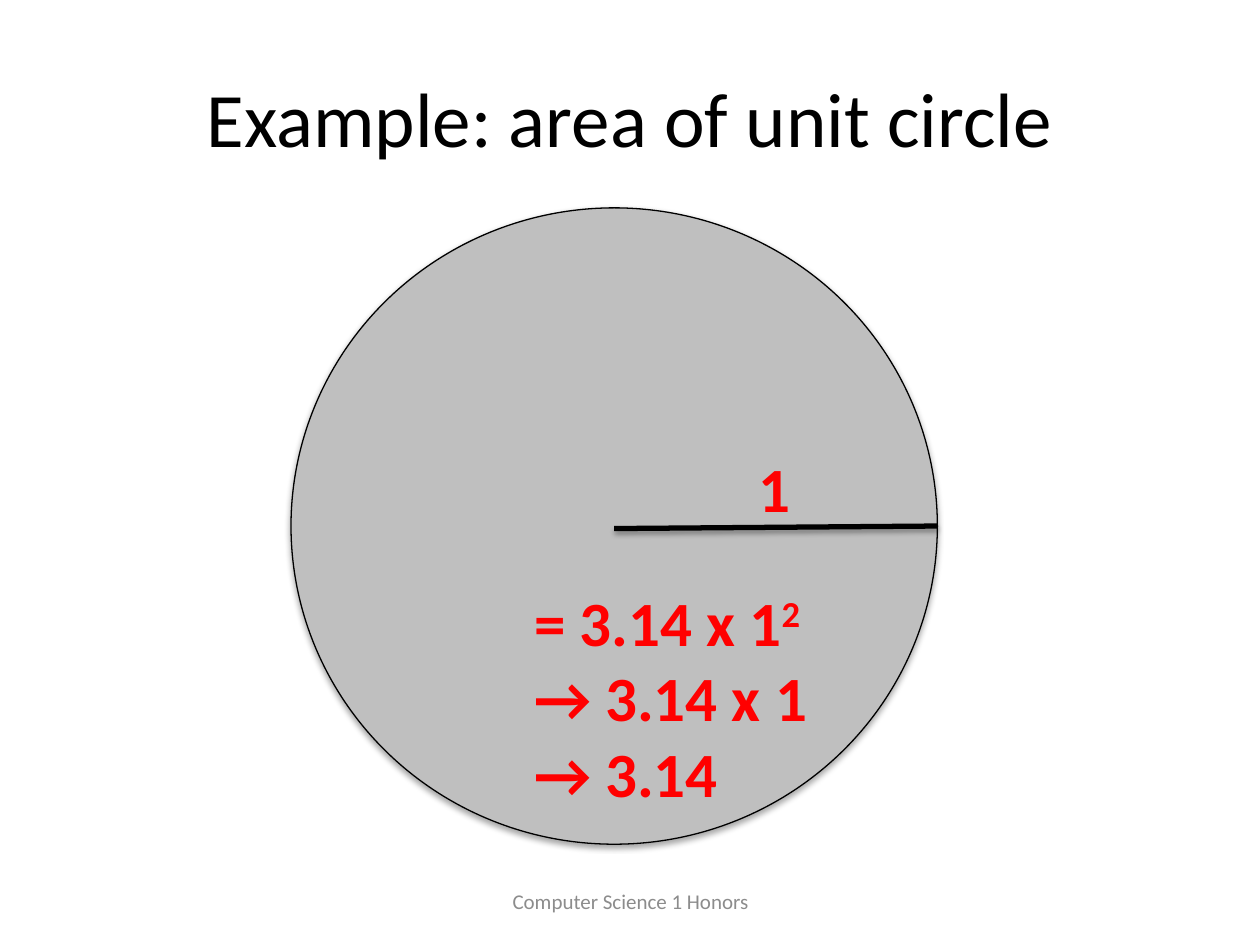
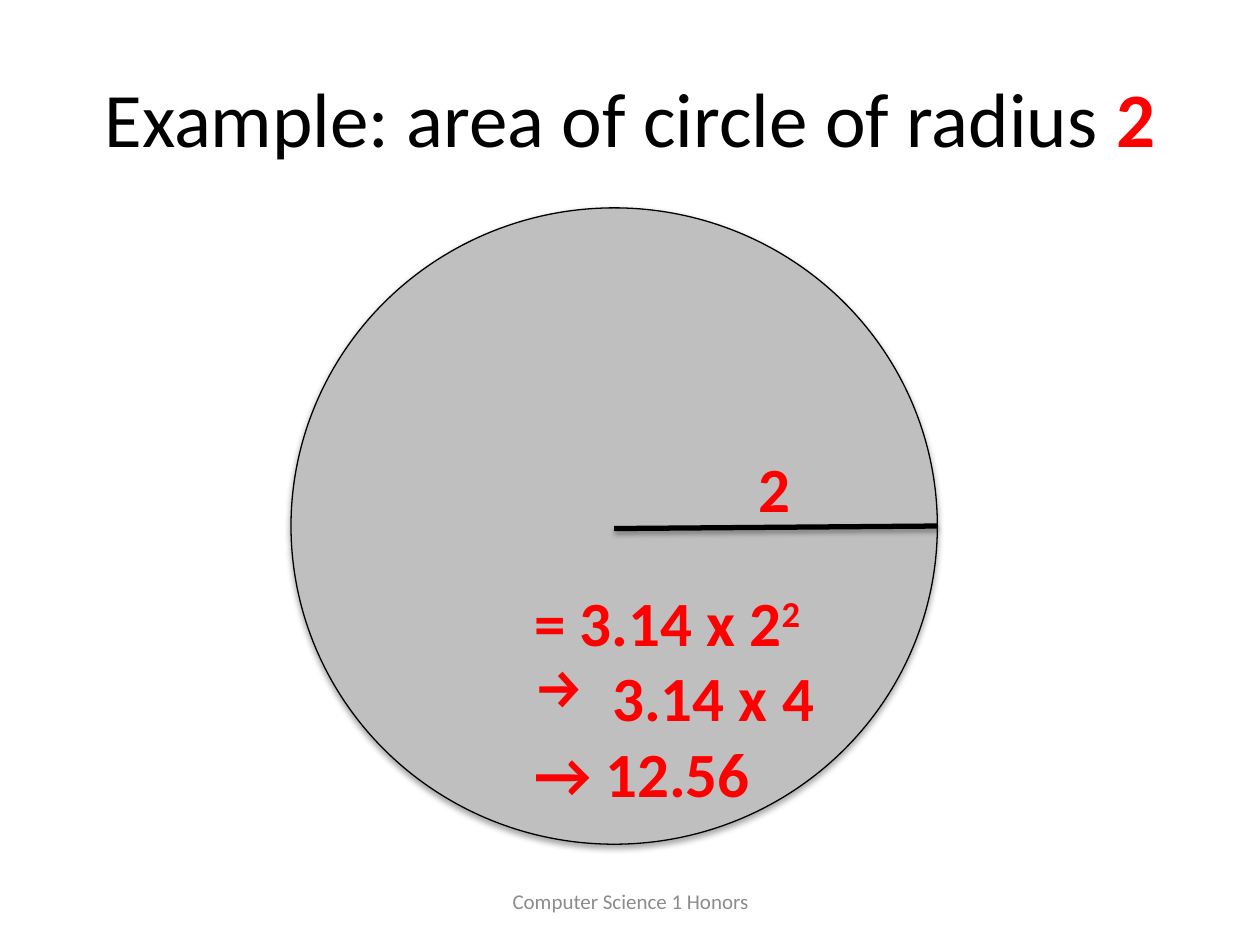
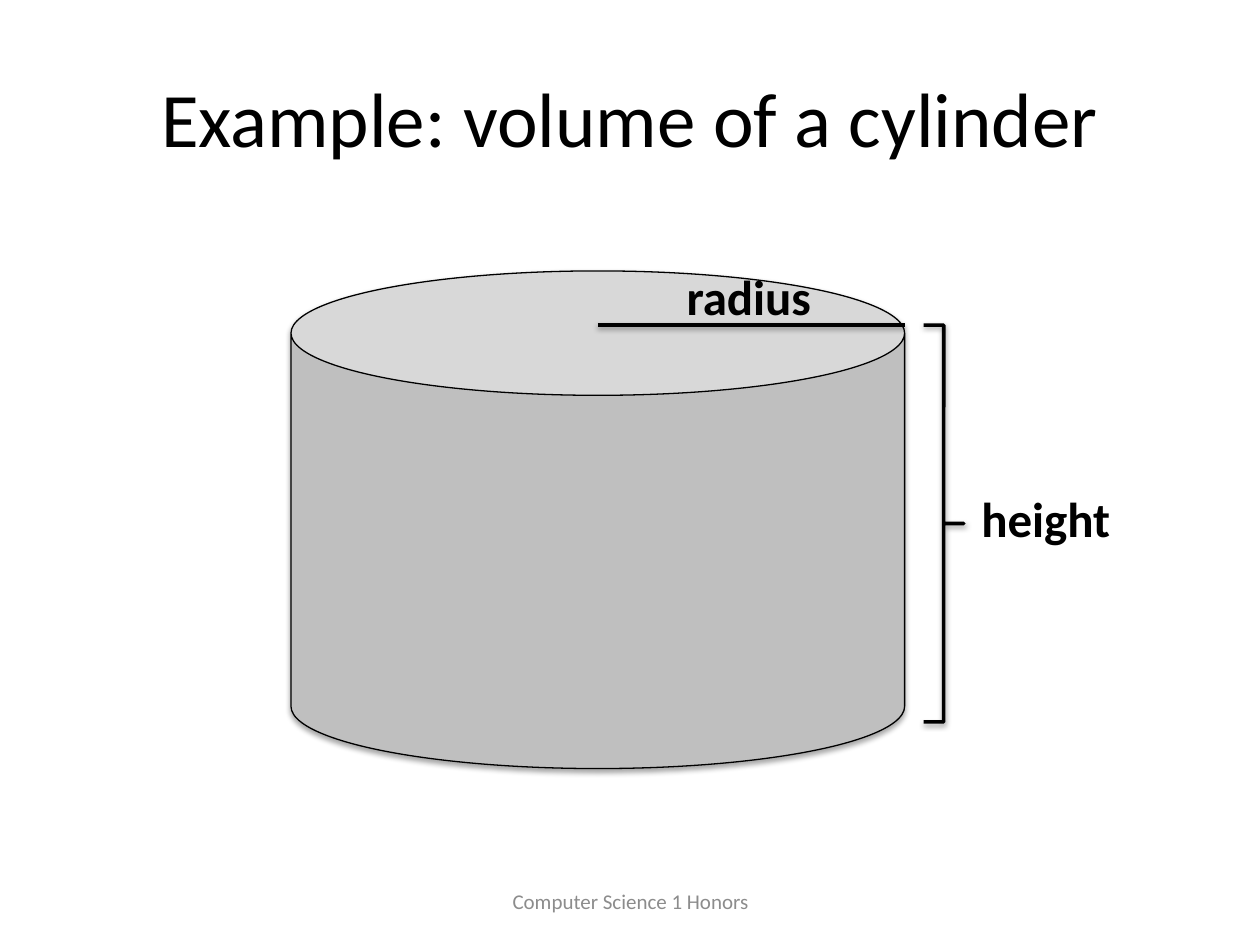
from dataclasses import dataclass

from lxml import etree
from pptx import Presentation
from pptx.dml.color import RGBColor
from pptx.enum.shapes import MSO_CONNECTOR, MSO_SHAPE
from pptx.enum.text import MSO_ANCHOR, MSO_AUTO_SIZE, PP_ALIGN
from pptx.oxml.ns import qn
from pptx.util import Emu, Inches, Pt

CENTER = PP_ALIGN.CENTER
LEFT = PP_ALIGN.LEFT
MIDDLE = MSO_ANCHOR.MIDDLE
FIT_SHAPE = MSO_AUTO_SIZE.SHAPE_TO_FIT_TEXT
ELLIPSE = MSO_SHAPE.OVAL
CAN = MSO_SHAPE.CAN
BRACE = MSO_SHAPE.RIGHT_BRACE
STRAIGHT = MSO_CONNECTOR.STRAIGHT

COLUMNS, ROWS = 10, 7.5
SLIDE_WIDTH, SLIDE_HEIGHT = Inches(10), Inches(7.5)
BLANK_LAYOUT = 6


@dataclass(frozen=True)
class Theme:
    font: str = "Calibri"
    ink: RGBColor = RGBColor(0, 0, 0)
    accent: RGBColor = RGBColor(255, 0, 0)
    muted: RGBColor = RGBColor(0x8C, 0x8C, 0x8C)
    solid: RGBColor = RGBColor(0xBF, 0xBF, 0xBF)
    title_size: int = 44
    formula_size: int = 36
    label_size: int = 28
    footer_size: int = 12
    outline: float = 0.75
    measure: float = 2
    radius: float = 3


@dataclass(frozen=True)
class Box:
    column: float
    row: float
    columns: float
    rows: float

    def inner(self, column, row, columns, rows):
        return Box(self.column + column, self.row + row, columns, rows)

    def point(self, column, row):
        return (
            Emu(round(SLIDE_WIDTH * (self.column + column) / COLUMNS)),
            Emu(round(SLIDE_HEIGHT * (self.row + row) / ROWS)),
        )

    def frame(self):
        left, top = self.point(0, 0)
        right, bottom = self.point(self.columns, self.rows)
        return left, top, right - left, bottom - top


THEME = Theme()
TITLE_BOX = Box(0.5, 0.3, 9, 1.25)
FOOTER_BOX = Box(3.42, 6.95, 3.17, 0.4)
CIRCLE_BOX = Box(2.31, 1.65, 5.13, 5.05)
CYLINDER_BOX = Box(2.31, 2.15, 4.87, 3.95)


def add_shadow(shape, opacity, distance):
    properties = shape._element.spPr
    for effects in properties.findall(qn("a:effectLst")):
        properties.remove(effects)
    effects = etree.SubElement(properties, qn("a:effectLst"))
    shadow = etree.SubElement(
        effects, qn("a:outerShdw"), blurRad=str(Pt(3.1)), dist=str(Pt(distance)),
        dir="5400000", rotWithShape="0",
    )
    color = etree.SubElement(shadow, qn("a:srgbClr"), val=str(THEME.ink))
    etree.SubElement(color, qn("a:alpha"), val=str(opacity * 1000))


def style_line(shape, width):
    shape.line.color.rgb = THEME.ink
    shape.line.width = Pt(width)


def add_solid(slide, kind, box):
    shape = slide.shapes.add_shape(kind, *box.frame())
    shape.fill.solid()
    shape.fill.fore_color.rgb = THEME.solid
    style_line(shape, THEME.outline)
    add_shadow(shape, 35, 1.8)


def add_segment(slide, start, end, width, opacity, distance):
    connector = slide.shapes.add_connector(STRAIGHT, *start, *end)
    style_line(connector, width)
    add_shadow(connector, opacity, distance)


def add_run(paragraph, text, size, color, bold=False):
    run = paragraph.add_run()
    run.text = text
    run.font.name = THEME.font
    run.font.size = Pt(size)
    run.font.color.rgb = color
    run.font.bold = bold
    return run


def add_text_frame(slide, box, wrap=False, anchor=None):
    text_frame = slide.shapes.add_textbox(*box.frame()).text_frame
    text_frame.word_wrap = wrap
    if anchor is not None:
        text_frame.vertical_anchor = anchor
    if not wrap:
        text_frame.auto_size = FIT_SHAPE
    text_frame.paragraphs[0].alignment = CENTER if wrap else LEFT
    return text_frame


def add_label(slide, box, text, size, color):
    text_frame = add_text_frame(slide, box)
    add_run(text_frame.paragraphs[0], text, size, color, bold=True)


def add_arrow_bullet(paragraph):
    properties = paragraph._p.get_or_add_pPr()
    properties.set("marL", str(Inches(0.62)))
    properties.set("indent", str(-Inches(0.62)))
    etree.SubElement(properties, qn("a:buChar"), char="→")


def add_title(slide, box, text, highlight):
    paragraph = add_text_frame(slide, box, True, MIDDLE).paragraphs[0]
    add_run(paragraph, text, THEME.title_size, THEME.ink)
    if highlight:
        add_run(paragraph, highlight, THEME.title_size, THEME.accent, bold=True)


def add_footer(slide, box):
    paragraph = add_text_frame(slide, box, True, MIDDLE).paragraphs[0]
    add_run(paragraph, "Computer Science 1 Honors", THEME.footer_size, THEME.muted)


def add_formula(slide, box, radius, square, area, bulleted):
    text_frame = add_text_frame(slide, box)

    def add_step(paragraph, text):
        return add_run(paragraph, text, THEME.formula_size, THEME.accent, bold=True)

    expression = text_frame.paragraphs[0]
    add_step(expression, f"= 3.14 x {radius}")
    exponent = add_step(expression, "2")
    exponent._r.get_or_add_rPr().set("baseline", "30000")

    product = text_frame.add_paragraph()
    if bulleted:
        add_arrow_bullet(product)
    add_step(product, f"3.14 x {square}" if bulleted else f"→ 3.14 x {square}")
    add_step(text_frame.add_paragraph(), f"→ {area}")


def add_circle(slide, box, radius, square, area, bulleted=False):
    add_solid(slide, ELLIPSE, box)
    center = box.point(box.columns / 2, box.rows / 2 + 0.02)
    edge = box.point(box.columns, box.rows / 2)
    add_segment(slide, center, edge, THEME.radius, 35, 1.8)
    label_box = box.inner(3.61, 1.87, 0.46, 0.71)
    add_label(slide, label_box, radius, THEME.formula_size, THEME.accent)
    formula_box = box.inner(1.83, 2.93, 2.45 if bulleted else 2.43, 1.92)
    add_formula(slide, formula_box, radius, square, area, bulleted)


def add_cylinder(slide, box):
    add_solid(slide, CAN, box)
    rim = 0.43
    brace = slide.shapes.add_shape(BRACE, *box.inner(5.02, rim, 0.32, 3.15).frame())
    brace.adjustments[0] = 0
    brace.adjustments[1] = 0.5
    brace.fill.background()
    style_line(brace, THEME.measure)
    add_shadow(brace, 38, 1.6)

    center = box.point(box.columns / 2, rim)
    edge = box.point(box.columns, rim)
    add_segment(slide, center, edge, THEME.measure, 38, 1.6)
    height_box = box.inner(5.38, 1.68, 1.24, 0.57)
    add_label(slide, height_box, "height", THEME.label_size, THEME.ink)
    radius_box = box.inner(3.04, -0.08, 1.21, 0.57)
    add_label(slide, radius_box, "radius", THEME.label_size, THEME.ink)


def add_example_slide(presentation, title, highlight=""):
    slide = presentation.slides.add_slide(presentation.slide_layouts[BLANK_LAYOUT])
    add_title(slide, TITLE_BOX, title, highlight)
    add_footer(slide, FOOTER_BOX)
    return slide


def main():
    presentation = Presentation()
    presentation.slide_width = SLIDE_WIDTH
    presentation.slide_height = SLIDE_HEIGHT

    unit_slide = add_example_slide(presentation, "Example: area of unit circle")
    add_circle(unit_slide, CIRCLE_BOX, "1", "1", "3.14")

    radius_slide = add_example_slide(
        presentation, "Example: area of circle of radius ", "2"
    )
    add_circle(radius_slide, CIRCLE_BOX, "2", "4", "12.56", bulleted=True)

    cylinder_slide = add_example_slide(presentation, "Example: volume of a cylinder")
    add_cylinder(cylinder_slide, CYLINDER_BOX)

    presentation.save("out.pptx")


if __name__ == "__main__":
    main()
